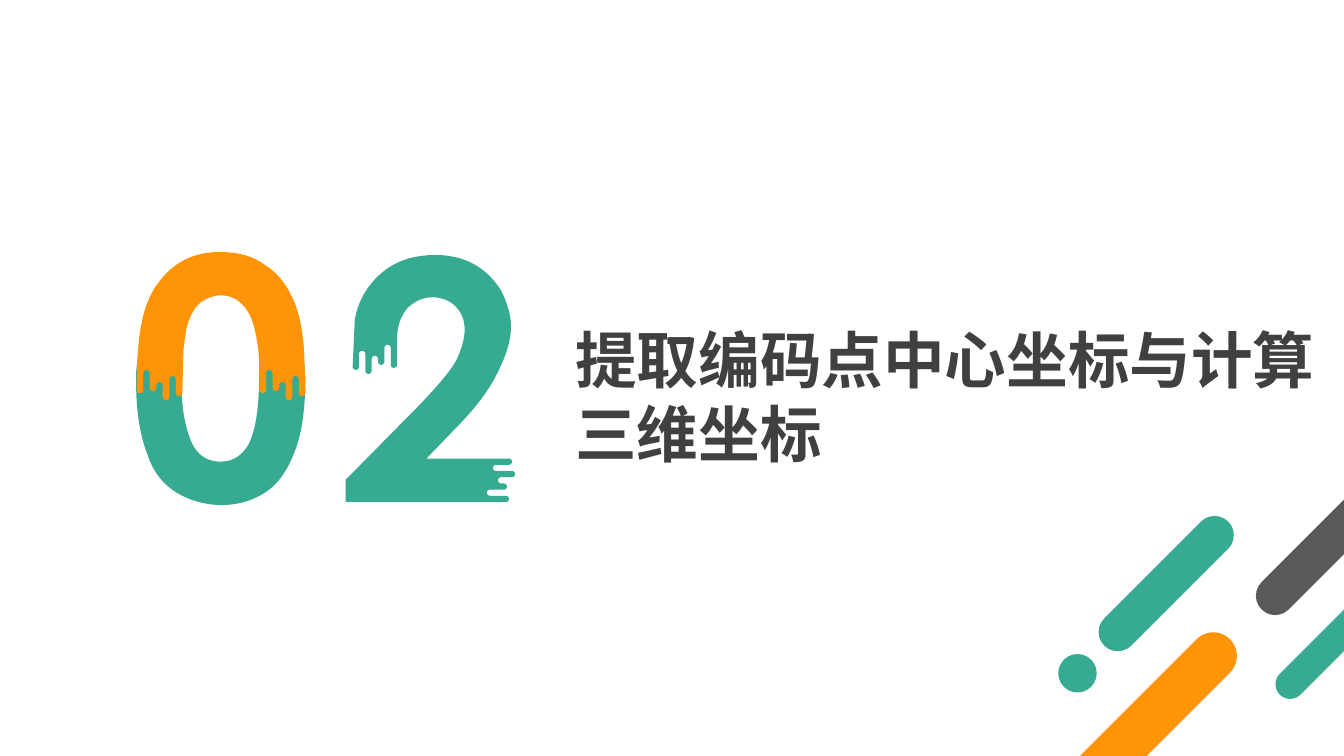
from math import cos, pi, sin
from pptx import Presentation
from pptx.dml.color import RGBColor
from pptx.enum import shapes, text
from pptx.util import Cm, Pt

HUES = {"green": "37AB91", "orange": "FF9409", "gray": "595959", "ink": "404040"}

deck = Presentation()
deck.slide_width, deck.slide_height = Cm(33.87), Cm(19.05)
slide = deck.slides.add_slide(deck.slide_layouts[6])


def curve(nums, steps=10):
    """Points along joined cubic curves: a start, then three points per curve."""
    vals = [int(n) for n in nums.split()]
    knots = list(zip(vals[::2], vals[1::2]))
    pts = knots[:1]
    for k in range(0, len(knots) - 1, 3):
        for s in range(1, steps + 1):
            t = s / steps
            mix = ((1 - t) ** 3, 3 * t * (1 - t) ** 2, 3 * t * t * (1 - t), t ** 3)
            pts.append(tuple(sum(m * p[a] for m, p in zip(mix, knots[k:k + 4]))
                             for a in (0, 1)))
    return pts


def drip(start, step, tips, flat=False):
    """Row of round-ended fingers and gaps, in turn; flat ones point right."""
    pts = []
    rad = abs(step) / 2
    for i, tip in enumerate(tips):
        way = -1 if i % 2 else 1
        mid = start + (i + 0.5) * step
        for k in range(9):
            turn = pi * k / 8
            along = mid - step / 2 * cos(turn)
            out = tip - way * rad * (1 - sin(turn))
            pts.append((out, along) if flat else (along, out))
    return pts


# Slanted bars and the dot: left, top, width, height, colour
round_bar = shapes.MSO_SHAPE.ROUNDED_RECTANGLE
for left, top, wide, high, hue in [
    (31.5, 15.32, 5.13, 0.74, "green"),
    (23.93, 18.44, 8.28, 1.19, "orange"),
    (30.81, 12.5, 6.71, 0.97, "gray"),
    (27.18, 14.22, 4.42, 0.97, "green"),
    (26.67, 16.48, 0.97, 0.97, "green"),
]:
    kind = shapes.MSO_SHAPE.OVAL if wide == high else round_bar
    bar = slide.shapes.add_shape(kind, Cm(left), Cm(top), Cm(wide), Cm(high))
    if kind == round_bar:
        bar.adjustments[0] = 0.5
    bar.rotation = 315
    bar.shadow.inherit = False
    bar.fill.solid()
    bar.fill.fore_color.rgb = RGBColor.from_string(HUES[hue])
    bar.line.fill.background()

# Section number, in hundredths of an inch
ring = [393, 373, 397, 379, 388, 367, 390]
bowl = (
    curve("181 362 181 367 180 373 180 379 180 409 185 428 191 441 "
          "198 454 208 458 219 458 230 458 239 453 246 442 "
          "253 429 257 407 257 376 257 372 257 368 257 365")
    + [(302, 361)]
    + curve("303 375 303 407 299 432 292 449 285 467 276 480 264 488 "
            "252 496 238 501 220 501 202 501 187 496 174 488 "
            "162 480 152 469 146 450 139 432 135 409 135 378 "
            "135 372 135 367 136 362")
)
arch = (
    [(136, 360)]
    + curve("137 347 139 319 145 297 156 282 171 261 191 250 218 250 "
            "236 250 251 254 263 263 276 271 286 284 293 302 "
            "298 315 301 332 302 353")
    + drip(303, -6.5, ring)
    + curve("257 354 255 334 252 320 247 311 240 299 231 293 219 293 "
            "212 293 205 296 199 300 193 305 188 314 185 326 "
            "184 332 183 339 182 348")
    + drip(181, -6.5, ring)
)
two = (
    curve("352 317 355 300 363 286 374 275 389 260 408 253 432 253 "
          "446 253 459 256 470 262 481 268 490 277 497 288 "
          "503 300 507 312 507 324 507 338 502 353 494 369 "
          "486 386 472 405 450 427")
    + [(423, 455)]
    + drip(455, 6.15, [508, 489, 511, 494, 503, 483, 505], flat=True)
    + [(343, 498), (343, 476)]
    + curve("417 401 435 382 447 368 453 357 458 346 461 336 461 327 "
            "461 318 458 310 452 304 446 298 438 295 429 295 "
            "419 295 411 299 404 306 398 313 394 323 394 336")
    + drip(394, -6.3, [365, 342, 362, 353, 371, 348, 367])
)
for pts, hue in [(bowl, "green"), (arch, "orange"), (two, "green")]:
    pts = [(x * 25.4, y * 25.4) for x, y in pts]
    pen = slide.shapes.build_freeform(*pts[0], scale=Cm(0.001))
    pen.add_line_segments(pts[1:], close=True)
    part = pen.convert_to_shape()
    part.shadow.inherit = False
    part.fill.solid()
    part.fill.fore_color.rgb = RGBColor.from_string(HUES[hue])
    part.line.fill.background()

# Section title
box = slide.shapes.add_textbox(Cm(14.25), Cm(7.98), Cm(19.33), Cm(4.01))
frame = box.text_frame
frame.word_wrap = False
frame.auto_size = text.MSO_AUTO_SIZE.SHAPE_TO_FIT_TEXT
frame.text = "提取编码点中心坐标与计算\n三维坐标"
for para in frame.paragraphs:
    para.font.name = "Arial"
    para.font.size = Pt(44)
    para.font.bold = True
    para.font.color.rgb = RGBColor.from_string(HUES["ink"])

deck.save("out.pptx")
